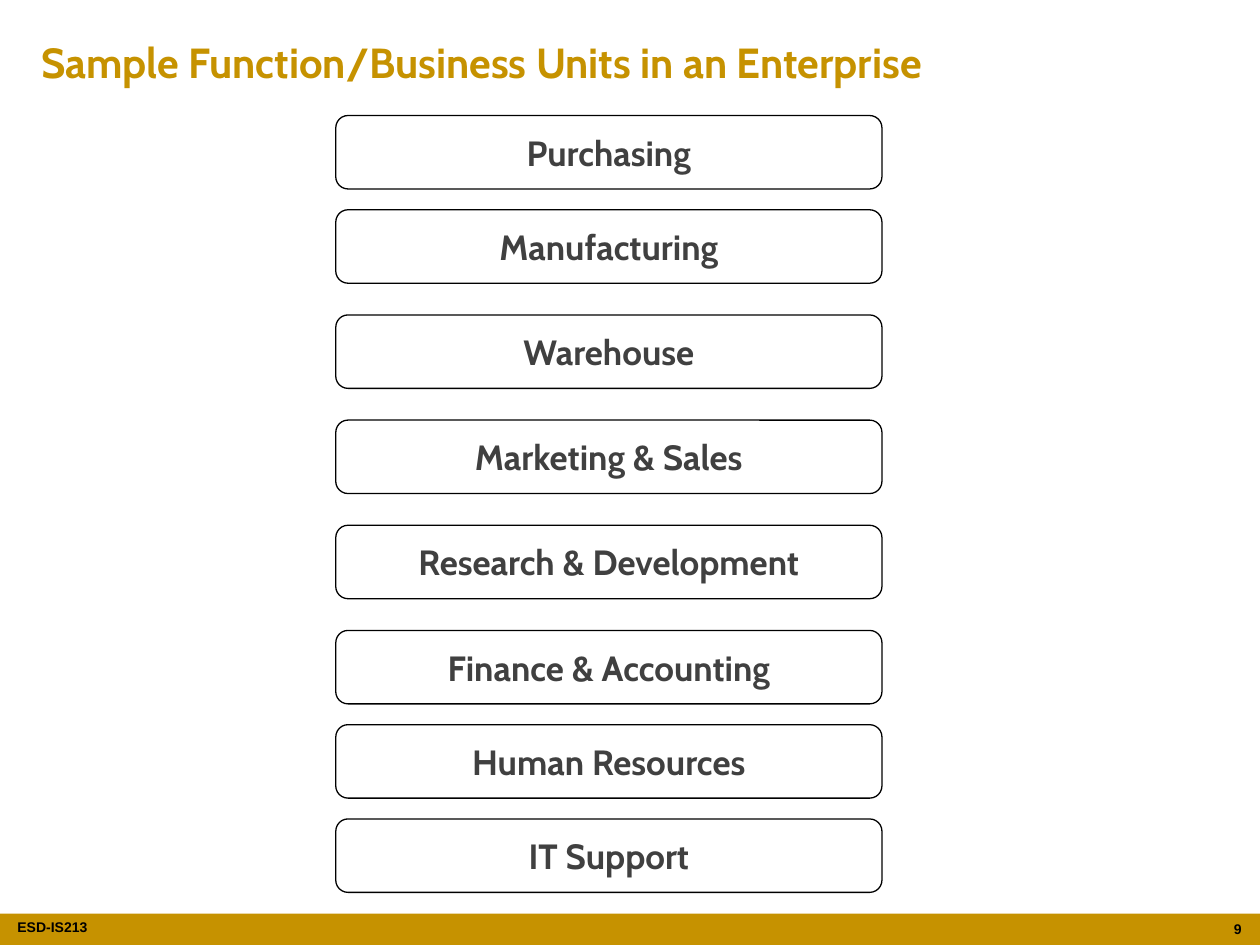
from dataclasses import dataclass

from pptx import Presentation
from pptx import util as u
from pptx.dml.color import RGBColor
from pptx.enum import shapes, text


@dataclass(frozen=True)
class Theme:
    gold: RGBColor = RGBColor(0xC6, 0x92, 0x00)
    grey: RGBColor = RGBColor(0x40, 0x40, 0x40)
    black: RGBColor = RGBColor(0, 0, 0)
    heading_font: str = "Cabin"
    footer_font: str = "Arial"
    title_size: int = 24
    unit_size: int = 20
    footer_size: int = 8
    outline: float = 0.75


@dataclass(frozen=True)
class Box:
    """Position and size in centimetres."""
    left: float
    top: float
    width: float
    height: float

    def lengths(self) -> tuple:
        return u.Cm(self.left), u.Cm(self.top), u.Cm(self.width), u.Cm(self.height)


@dataclass(frozen=True)
class Unit:
    name: str
    gap_after: float


THEME = Theme()
NARROW, WIDE = 0.42, 0.64
UNIT_LEFT, UNIT_TOP, UNIT_WIDTH, UNIT_HEIGHT = 6.77, 2.33, 11.01, 1.48
UNITS = (
    Unit("Purchasing", NARROW),
    Unit("Manufacturing", WIDE),
    Unit("Warehouse", WIDE),
    Unit("Marketing & Sales", WIDE),
    Unit("Research & Development", WIDE),
    Unit("Finance & Accounting", NARROW),
    Unit("Human Resources", NARROW),
    Unit("IT Support", 0),
)


def write(sp, words: str, font: str, size: int, color: RGBColor,
          align=text.PP_ALIGN.LEFT, anchor=text.MSO_ANCHOR.TOP) -> None:
    tf = sp.text_frame
    tf.text = words
    tf.word_wrap = True
    tf.vertical_anchor = anchor
    p = tf.paragraphs[0]
    p.alignment = align
    r = p.runs[0]
    r.font.name = font
    r.font.size = u.Pt(size)
    r.font.bold = True
    r.font.color.rgb = color


def add_unit(slide, unit: Unit, box: Box) -> None:
    sp = slide.shapes.add_shape(shapes.MSO_SHAPE.ROUNDED_RECTANGLE, *box.lengths())
    sp.shadow.inherit = False
    sp.fill.background()
    sp.line.color.rgb = THEME.black
    sp.line.width = u.Pt(THEME.outline)
    write(sp, unit.name, THEME.heading_font, THEME.unit_size, THEME.grey,
          text.PP_ALIGN.CENTER, text.MSO_ANCHOR.MIDDLE)


def add_footer(slide) -> None:
    bar = slide.shapes.add_shape(shapes.MSO_SHAPE.RECTANGLE,
                                 *Box(0, 18.42, 25.4, 0.63).lengths())
    bar.shadow.inherit = False
    bar.fill.solid()
    bar.fill.fore_color.rgb = THEME.gold
    bar.line.fill.background()

    course = slide.shapes.add_textbox(*Box(0.35, 18.39, 3.28, 0.63).lengths())
    course.text_frame.margin_left = course.text_frame.margin_right = 0
    write(course, "ESD-IS213", THEME.footer_font, THEME.footer_size, THEME.black)

    number = slide.shapes.add_textbox(*Box(24.28, 18.44, 1, 0.61).lengths())
    write(number, "9", THEME.footer_font, THEME.footer_size, THEME.black,
          text.PP_ALIGN.RIGHT)


def main() -> None:
    prs = Presentation()
    prs.slide_width, prs.slide_height = u.Cm(25.4), u.Cm(19.05)
    slide = prs.slides.add_slide(prs.slide_layouts[6])

    # Footer bar, course code and page number
    add_footer(slide)

    # Title
    title = slide.shapes.add_textbox(*Box(0.58, 0.61, 24.23, 1.27).lengths())
    write(title, "Sample Function/Business Units in an Enterprise",
          THEME.heading_font, THEME.title_size, THEME.gold,
          anchor=text.MSO_ANCHOR.MIDDLE)

    # Column of business units
    top = UNIT_TOP
    for unit in UNITS:
        add_unit(slide, unit, Box(UNIT_LEFT, top, UNIT_WIDTH, UNIT_HEIGHT))
        top += UNIT_HEIGHT + unit.gap_after

    prs.save("out.pptx")


if __name__ == "__main__":
    main()
